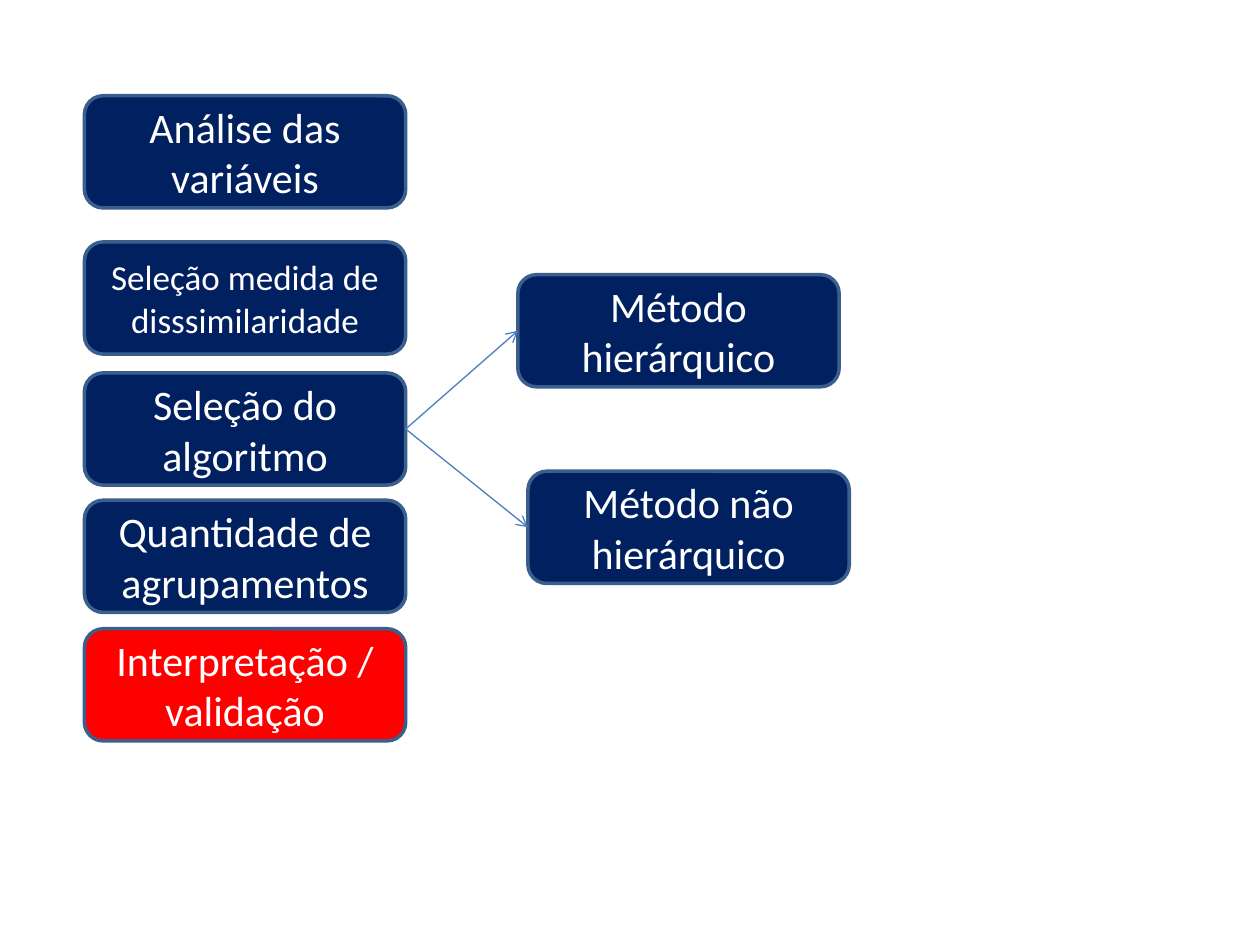
from lxml import etree
from pptx import Presentation
from pptx.dml.color import RGBColor
from pptx.enum import shapes, text
from pptx.oxml.ns import qn
from pptx.util import Inches, Pt

NAVY = RGBColor(0x00, 0x20, 0x60)
RED = RGBColor(0xFF, 0x00, 0x00)
WHITE = RGBColor(0xFF, 0xFF, 0xFF)
BORDER = RGBColor(0x3A, 0x5F, 0x8C)
ARROW = RGBColor(0x4B, 0x7E, 0xBC)

BOX_W, BOX_H = 2.55, 0.89
STEP_X = 0.67

# Content: steps as (text, top, format), methods as (text, left, top)
STEPS = [
    ("Análise das variáveis", 0.76, {}),
    ("Seleção medida de disssimilaridade", 1.92, {"size": 20}),
    ("Seleção do algoritmo", 2.96, {}),
    ("Quantidade de agrupamentos", 3.97, {}),
    ("Interpretação / validação", 4.99, {"fill": RED}),
]
METHODS = [
    ("Método hierárquico", 4.11, 2.18),
    ("Método não hierárquico", 4.19, 3.74),
]
BRANCHING_STEP = 2


def add_box(s, label, left, top, size=24, fill=NAVY):
    sp = s.shapes.add_shape(shapes.MSO_SHAPE.ROUNDED_RECTANGLE, Inches(left),
                            Inches(top), Inches(BOX_W), Inches(BOX_H))
    sp.shadow.inherit = False
    sp.fill.solid()
    sp.fill.fore_color.rgb = fill
    sp.line.color.rgb = BORDER
    sp.line.width = Pt(2)
    tf = sp.text_frame
    tf.word_wrap = True
    tf.vertical_anchor = text.MSO_ANCHOR.MIDDLE
    p = tf.paragraphs[0]
    p.alignment = text.PP_ALIGN.CENTER
    r = p.add_run()
    r.text = label
    r.font.name = "Calibri"
    r.font.size = Pt(size)
    r.font.color.rgb = WHITE
    return sp


def add_arrow(s, start, end):
    """Connect the right side of start to the left side of end."""
    cx = s.shapes.add_connector(shapes.MSO_CONNECTOR.STRAIGHT, 0, 0, 0, 0)
    cx.begin_connect(start, 3)
    cx.end_connect(end, 1)
    cx.line.color.rgb = ARROW
    cx.line.width = Pt(0.75)
    etree.SubElement(cx.line._get_or_add_ln(), qn("a:tailEnd"), type="arrow")
    etree.SubElement(cx._element.spPr, qn("a:effectLst"))


prs = Presentation()
prs.slide_width, prs.slide_height = Inches(10), Inches(7.5)
s = prs.slides.add_slide(prs.slide_layouts[6])

# Process steps
steps = [add_box(s, label, STEP_X, top, **fmt) for label, top, fmt in STEPS]

# Methods branching from the algorithm step
for label, left, top in METHODS:
    method = add_box(s, label, left, top)
    add_arrow(s, steps[BRANCHING_STEP], method)

prs.save("out.pptx")
